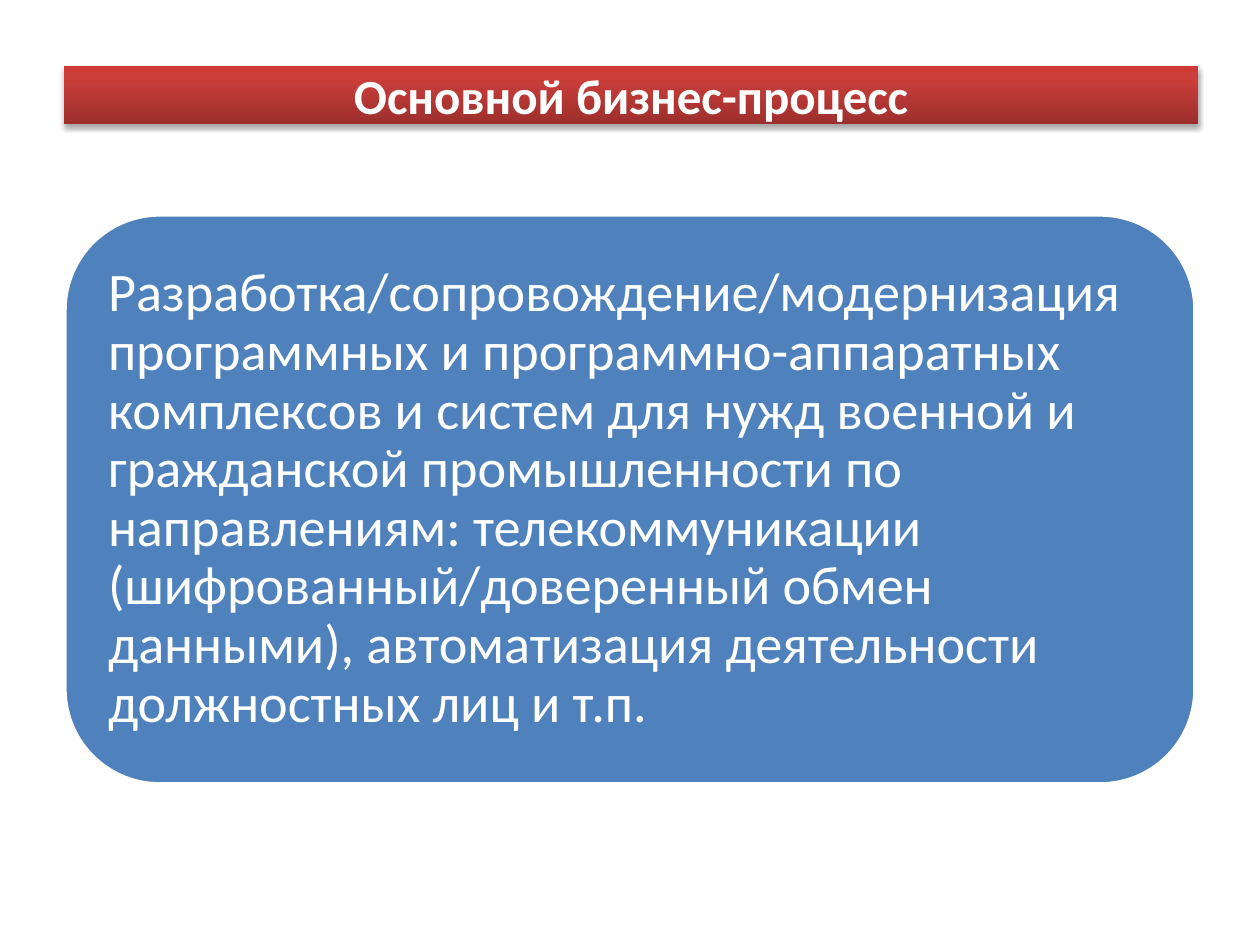
from copy import deepcopy
from dataclasses import dataclass

from lxml import etree
from pptx import Presentation
from pptx.dml.color import RGBColor
from pptx.enum.shapes import MSO_SHAPE
from pptx.enum.text import MSO_ANCHOR, PP_ALIGN
from pptx.oxml.ns import qn
from pptx.util import Emu, Pt

RECTANGLE = MSO_SHAPE.RECTANGLE
ROUNDED = MSO_SHAPE.ROUNDED_RECTANGLE
MIDDLE = MSO_ANCHOR.MIDDLE
LEFT = PP_ALIGN.LEFT
CENTER = PP_ALIGN.CENTER
EMU_PER_PX = 914400 / 126


@dataclass(frozen=True)
class Theme:
    font: str = "Calibri"
    title_size: int = 28
    body_size: int = 31
    text: str = "FFFFFF"
    outline: str = "FFFFFF"
    panel: str = "4F81BD"
    shadow: str = "000000"
    banner: tuple[tuple[float, str], ...] = (
        (0, "9C2F2D"),
        (0.8, "CB3E3A"),
        (1, "CE3B37"),
    )


@dataclass(frozen=True)
class Box:
    left: int
    top: int
    width: int
    height: int

    def inset(self, margin: int) -> "Box":
        return Box(self.left + margin, self.top + margin,
                   self.width - 2 * margin, self.height - 2 * margin)

    def lengths(self) -> tuple[Emu, ...]:
        return tuple(map(px, (self.left, self.top, self.width, self.height)))


@dataclass(frozen=True)
class Label:
    text: str
    size: int
    bold: bool
    alignment: PP_ALIGN
    margin_x: int
    margin_y: int
    line_spacing: float


THEME = Theme()
BANNER = Box(64, 66, 1134, 58)
PANEL = Box(65, 215, 1130, 569)
TITLE = Label("Основной бизнес-процесс", THEME.title_size, True, CENTER, 13, 6, 1.0)
BODY = Label(
    "Разработка/сопровождение/модернизация программных и "
    "программно-аппаратных комплексов и систем для нужд военной и "
    "гражданской промышленности по направлениям: телекоммуникации "
    "(шифрованный/доверенный обмен данными), автоматизация деятельности "
    "должностных лиц и т.п.",
    THEME.body_size, False, LEFT, 16, 16, 0.9,
)


def px(length: int) -> Emu:
    return Emu(round(length * EMU_PER_PX))


def color(value: str) -> RGBColor:
    return RGBColor.from_string(value)


def write_label(shape, label: Label) -> None:
    frame = shape.text_frame
    frame.word_wrap = True
    frame.vertical_anchor = MIDDLE
    frame.margin_left = frame.margin_right = px(label.margin_x)
    frame.margin_top = frame.margin_bottom = px(label.margin_y)
    paragraph = frame.paragraphs[0]
    paragraph.alignment = label.alignment
    paragraph.line_spacing = label.line_spacing
    run = paragraph.add_run()
    run.text = label.text
    run.font.name = THEME.font
    run.font.size = Pt(label.size)
    run.font.bold = label.bold
    run.font.color.rgb = color(THEME.text)


def fill_gradient(shape, stops: tuple[tuple[float, str], ...]) -> None:
    shape.fill.gradient()
    shape.fill.gradient_angle = 90
    stop_list = next(shape._element.spPr.iter(qn("a:gsLst")))
    while len(stop_list) < len(stops):
        stop_list.append(deepcopy(stop_list[0]))
    for stop, (position, value) in zip(shape.fill.gradient_stops, stops):
        stop.position = position
        stop.color.rgb = color(value)


def add_shadow(shape) -> None:
    effects = shape._element.spPr.find(qn("a:effectLst"))
    shadow = etree.SubElement(
        effects, qn("a:outerShdw"), blurRad=str(Pt(3.1)), dist=str(Pt(1.8)),
        dir="5400000", rotWithShape="0",
    )
    tone = etree.SubElement(shadow, qn("a:srgbClr"), val=THEME.shadow)
    etree.SubElement(tone, qn("a:alpha"), val="35000")


def add_banner(slide, box: Box, label: Label) -> None:
    shape = slide.shapes.add_shape(RECTANGLE, *box.lengths())
    shape.shadow.inherit = False
    shape.line.fill.background()
    fill_gradient(shape, THEME.banner)
    add_shadow(shape)
    write_label(shape, label)


def add_panel(slide, box: Box, label: Label) -> None:
    group = slide.shapes.add_group_shape()
    shape = group.shapes.add_shape(ROUNDED, *box.lengths())
    shape.shadow.inherit = False
    shape.fill.solid()
    shape.fill.fore_color.rgb = color(THEME.panel)
    shape.line.color.rgb = color(THEME.outline)
    shape.line.width = Pt(2)
    text_box = group.shapes.add_textbox(*box.inset(27).lengths())
    write_label(text_box, label)


def main() -> None:
    presentation = Presentation()
    presentation.slide_width = px(1260)
    presentation.slide_height = px(945)
    slide = presentation.slides.add_slide(presentation.slide_layouts[6])
    add_banner(slide, BANNER, TITLE)
    add_panel(slide, PANEL, BODY)
    presentation.save("out.pptx")


if __name__ == "__main__":
    main()
